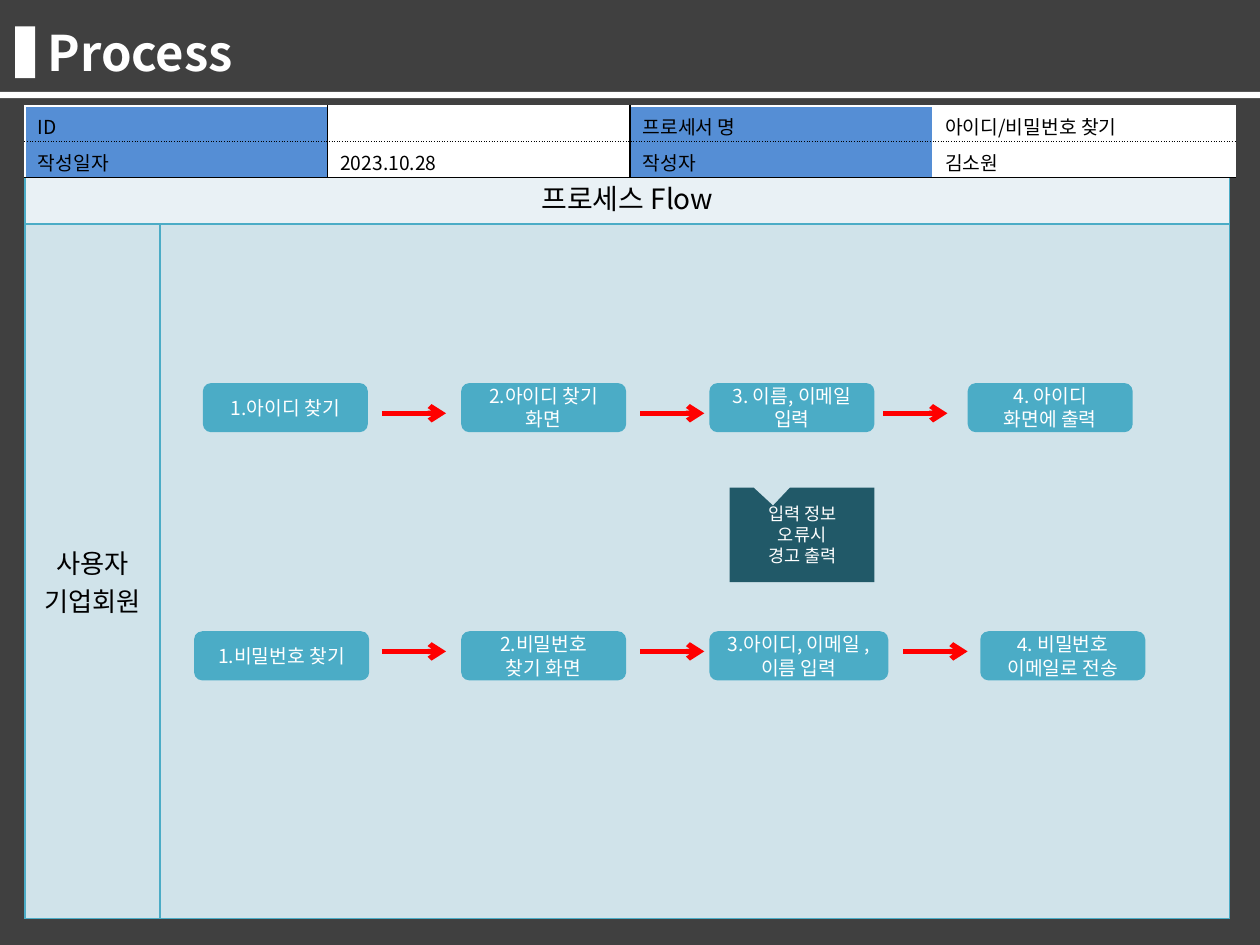
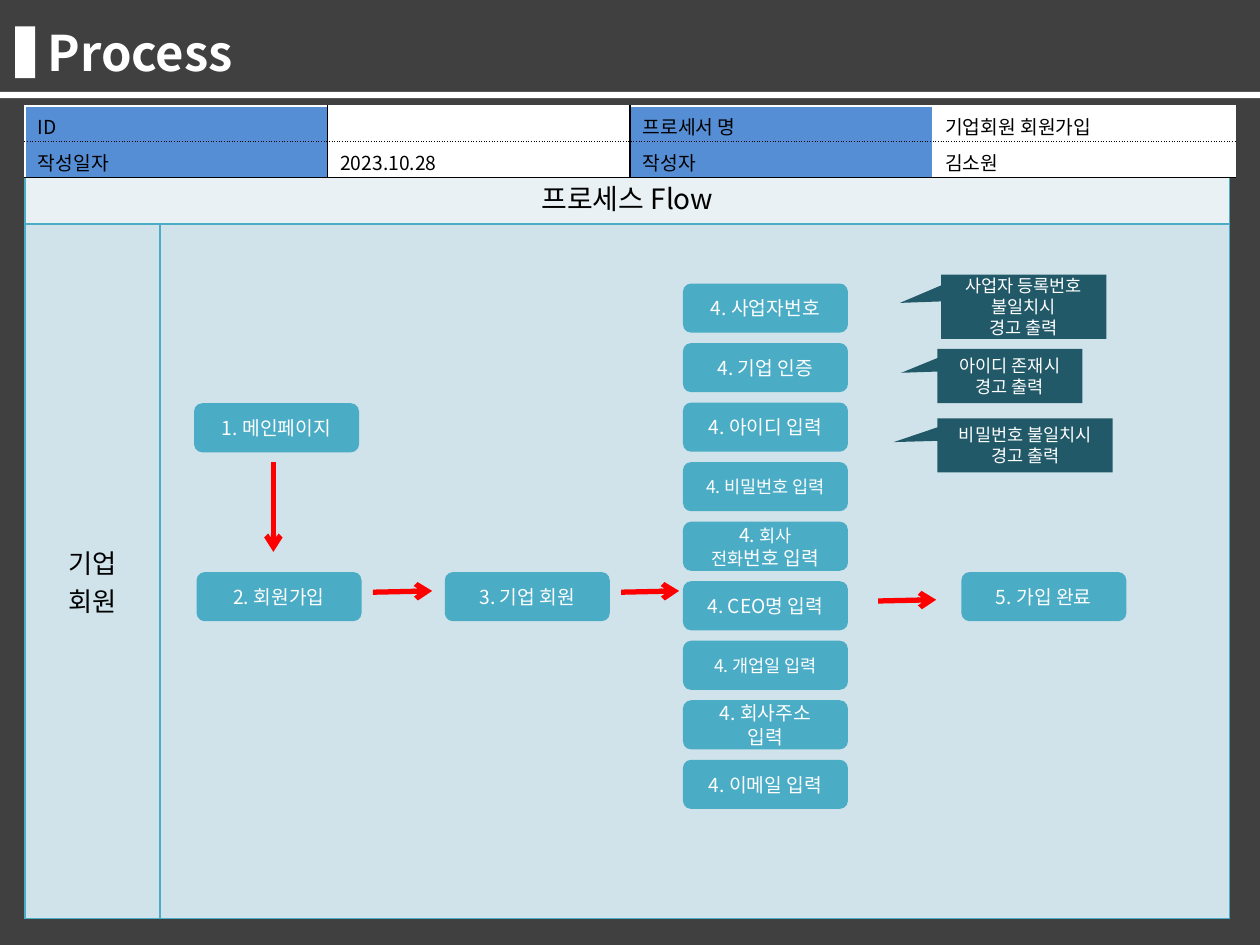
from lxml import etree
from pptx import Presentation
from pptx.dml.color import RGBColor
from pptx.enum.shapes import MSO_CONNECTOR, MSO_SHAPE
from pptx.enum.text import MSO_ANCHOR, PP_ALIGN
from pptx.oxml.ns import qn
from pptx.util import Inches, Pt

RECTANGLE = MSO_SHAPE.RECTANGLE
ROUNDED = MSO_SHAPE.ROUNDED_RECTANGLE
CALLOUT = MSO_SHAPE.RECTANGULAR_CALLOUT
STRAIGHT = MSO_CONNECTOR.STRAIGHT
LEFT, CENTER = PP_ALIGN.LEFT, PP_ALIGN.CENTER
MIDDLE = MSO_ANCHOR.MIDDLE

FONT = "Noto Sans CJK KR"
WHITE, BLACK, DARK = "FFFFFF", "000000", "404040"
TEAL, DEEP_TEAL, RED = "4BACC6", "215968", "FF0000"
LABEL_BLUE, FLOW_HEAD, FLOW_BODY = "558ED5", "E9F1F5", "D0E3EA"

WIDTH, HEIGHT = 10, 7.5
STEP_WIDTH, STEP_HEIGHT = 1.31, 0.39
STACK_LEFT, STACK_TOP, STACK_BOTTOM = 5.42, 2.25, 6.03

# A line of text is a string, or a list of (text, size, font) runs.
STACK = [
    (["4. 사업자번호"], 11),
    (["4. 기업 인증"], 11),
    (["4. 아이디 입력"], 11),
    (["4. 비밀번호 입력"], 10),
    ([[("4. ", 11, FONT), ("회사", 10, FONT)],
      [("전화", 10, FONT), ("번호 입력", 11, FONT)]], 11),
    (["4. CEO명 입력"], 11),
    (["4. 개업일 입력"], 10),
    (["4. 회사주소", "입력"], 11),
    (["4. 이메일 입력"], 11),
]
STACK_PITCH = (STACK_BOTTOM - STACK_TOP) / (len(STACK) - 1)

# steps: left, top, width, lines, size
# callouts: left, top, width, height, pointer, lines
# arrows: start x, start y, end x, end y
FIND_TOP, RESET_TOP = 3.04, 5.01
JOIN_TOP = 4.54
SIDE_POINTER = (-0.75, -0.06)
ARROW_LENGTH = 0.51

FIND_ACCOUNT = {
    "process": "아이디/비밀번호 찾기",
    "actor": ["사용자", "기업회원"],
    "steps": [
        (1.61, FIND_TOP, STEP_WIDTH, ["1.아이디 찾기"], 11),
        (3.66, FIND_TOP, STEP_WIDTH, ["2.아이디 찾기", "화면"], 11),
        (5.63, FIND_TOP, STEP_WIDTH, ["3. 이름, 이메일 입력"], 11),
        (7.68, FIND_TOP, STEP_WIDTH, ["4. 아이디", "화면에 출력"], 11),
        (1.54, RESET_TOP, 1.39, ["1.비밀번호 찾기"], 11),
        (3.66, RESET_TOP, STEP_WIDTH, ["2.비밀번호", "찾기 화면"], 11),
        (5.63, RESET_TOP, 1.42, ["3.아이디, 이메일 , 이름 입력"], 11),
        (7.78, RESET_TOP, STEP_WIDTH,
         [[("4", 11, "Arial"), (". 비밀번호", 11, FONT)], "이메일로 전송"], 11),
    ],
    "callouts": [
        (5.79, 3.87, 1.15, 0.75, (-0.2, -0.31),
         ["입력 정보", "오류시", "경고 출력"]),
    ],
    "arrows": [
        (x, y, x + ARROW_LENGTH, y)
        for y, starts in ((3.28, (3.03, 5.08, 7.01)), (5.17, (3.03, 5.08, 7.17)))
        for x in starts
    ],
}

JOIN_COMPANY = {
    "process": "기업회원 회원가입",
    "actor": ["기업", "회원"],
    "steps": [
        (1.54, 3.2, STEP_WIDTH, ["1. 메인페이지"], 11),
        (1.56, JOIN_TOP, STEP_WIDTH, ["2. 회원가입"], 11),
        (3.53, JOIN_TOP, STEP_WIDTH, ["3. 기업 회원"], 11),
        (7.63, JOIN_TOP, STEP_WIDTH, ["5. 가입 완료"], 11),
    ] + [
        (STACK_LEFT, STACK_TOP + index * STACK_PITCH, STEP_WIDTH, lines, size)
        for index, (lines, size) in enumerate(STACK)
    ],
    "callouts": [
        (7.47, 2.18, 1.31, 0.51, SIDE_POINTER,
         ["사업자 등록번호 불일치시", "경고 출력"]),
        (7.44, 2.77, 1.15, 0.43, SIDE_POINTER, ["아이디 존재시 경고 출력"]),
        (7.44, 3.32, 1.39, 0.43, SIDE_POINTER, ["비밀번호 불일치시 경고 출력"]),
    ],
    "arrows": [
        (2.17, 3.67, 2.17, 4.38),
        (2.96, 4.7, 3.43, 4.69),
        (4.93, 4.7, 5.39, 4.69),
        (6.97, 4.77, 7.43, 4.76),
    ],
}


def color(hex_code):
    return RGBColor.from_string(hex_code)


def write(text_frame, lines, size, hex_code, align=LEFT, bold=False):
    """Fill a text frame, one paragraph for each line."""
    for index, line in enumerate(lines):
        paragraph = text_frame.paragraphs[0] if index == 0 else text_frame.add_paragraph()
        paragraph.alignment = align
        runs = [(line, size, FONT)] if isinstance(line, str) else line
        for text, run_size, font_name in runs:
            run = paragraph.add_run()
            run.text = text
            run.font.size = Pt(run_size)
            run.font.bold = bold
            run.font.color.rgb = color(hex_code)
            run.font.name = font_name
            east_asian = etree.SubElement(run.font._element, qn("a:ea"))
            east_asian.set("typeface", FONT)


def add_box(slide, kind, box, fill, lines=(), size=11, adjustments=()):
    shape = slide.shapes.add_shape(kind, *map(Inches, box))
    shape.shadow.inherit = False
    shape.fill.solid()
    shape.fill.fore_color.rgb = color(fill)
    shape.line.fill.background()
    for index, value in enumerate(adjustments):
        shape.adjustments[index] = value
    shape.text_frame.vertical_anchor = MIDDLE
    write(shape.text_frame, lines, size, WHITE, CENTER)


def add_arrow(slide, ends):
    connector = slide.shapes.add_connector(STRAIGHT, *map(Inches, ends))
    connector.line.color.rgb = color(RED)
    connector.line.width = Pt(3)
    etree.SubElement(connector.line._get_or_add_ln(), qn("a:tailEnd"), type="arrow")
    etree.SubElement(connector._element.spPr, qn("a:effectLst"))


def add_grid(slide, left, top, columns, rows):
    """Add a table without banding, sized by its columns and rows."""
    table = slide.shapes.add_table(
        len(rows), len(columns), Inches(left), Inches(top),
        Inches(sum(columns)), Inches(sum(rows))).table
    table.first_row = table.horz_banding = False
    for column, width in zip(table.columns, columns):
        column.width = Inches(width)
    for row, height in zip(table.rows, rows):
        row.height = Inches(height)
    return table


def style_cell(cell, fill, borders):
    """Set the fill and the left, right, top and bottom (colour, dash) borders."""
    cell.fill.solid()
    cell.fill.fore_color.rgb = color(fill)
    properties = cell._tc.get_or_add_tcPr()
    for index, (side, (hex_code, dash)) in enumerate(zip("LRTB", borders)):
        line = etree.Element(qn("a:ln" + side), w=str(Pt(1)))
        solid = etree.SubElement(line, qn("a:solidFill"))
        etree.SubElement(solid, qn("a:srgbClr"), val=hex_code)
        etree.SubElement(line, qn("a:prstDash"), val=dash)
        properties.insert(index, line)


def add_flow_table(slide, actor):
    table = add_grid(slide, 0.2, 1.36, (1.07, 8.49), (0.42, 5.51))
    for row, fill in enumerate((FLOW_HEAD, FLOW_BODY)):
        for column in range(2):
            style_cell(table.cell(row, column), fill, [(TEAL, "solid")] * 4)
    title = table.cell(0, 0)
    title.merge(table.cell(0, 1))
    write(title.text_frame, ["프로세스 Flow"], 16, BLACK, CENTER)
    actor_cell = table.cell(1, 0)
    actor_cell.vertical_anchor = MIDDLE
    actor_cell.margin_top = Inches(0.2)
    write(actor_cell.text_frame, actor, 15, BLACK, CENTER)


def add_info_table(slide, process):
    rows = [("ID", "", "프로세서 명", process),
            ("작성일자", "2023.10.28", "작성자", "김소원")]
    table = add_grid(slide, 0.2, 0.84, [2.4] * 4, [0.285] * 2)
    white, black, dotted = (WHITE, "solid"), (BLACK, "solid"), (BLACK, "sysDot")
    column_lines = (white, black, black, white, white)
    row_lines = (white, dotted, black)
    for row, texts in enumerate(rows):
        for column, text in enumerate(texts):
            cell = table.cell(row, column)
            style_cell(cell, WHITE if column % 2 else LABEL_BLUE,
                       column_lines[column:column + 2] + row_lines[row:row + 2])
            cell.margin_top, cell.margin_bottom = Inches(0.05), Inches(0.01)
            if text:
                write(cell.text_frame, [text], 11, BLACK)
            else:
                etree.SubElement(cell.text_frame.paragraphs[0]._p,
                                 qn("a:endParaRPr"), sz="1100")


def add_frame(slide):
    """Draw the dark background, the title and its white bars."""
    slide.background.fill.solid()
    slide.background.fill.fore_color.rgb = color(DARK)
    title = slide.shapes.add_textbox(*map(Inches, (0.28, 0.13, 8.98, 0.57)))
    title.text_frame.word_wrap = True
    write(title.text_frame, ["Process"], 28, WHITE, bold=True)
    add_box(slide, RECTANGLE, (0.12, 0.21, 0.16, 0.41), WHITE)
    add_box(slide, RECTANGLE, (0, 0.73, WIDTH, 0.05), WHITE)


def add_process_slide(presentation, content):
    slide = presentation.slides.add_slide(presentation.slide_layouts[6])
    add_frame(slide)
    add_flow_table(slide, content["actor"])
    add_info_table(slide, content["process"])
    for left, top, width, lines, size in content["steps"]:
        add_box(slide, ROUNDED, (left, top, width, STEP_HEIGHT), TEAL, lines, size)
    for *box, pointer, lines in content["callouts"]:
        add_box(slide, CALLOUT, box, DEEP_TEAL, lines, 10, pointer)
    for ends in content["arrows"]:
        add_arrow(slide, ends)


def main():
    presentation = Presentation()
    presentation.slide_width, presentation.slide_height = Inches(WIDTH), Inches(HEIGHT)
    for content in (FIND_ACCOUNT, JOIN_COMPANY):
        add_process_slide(presentation, content)
    presentation.save("out.pptx")


if __name__ == "__main__":
    main()
